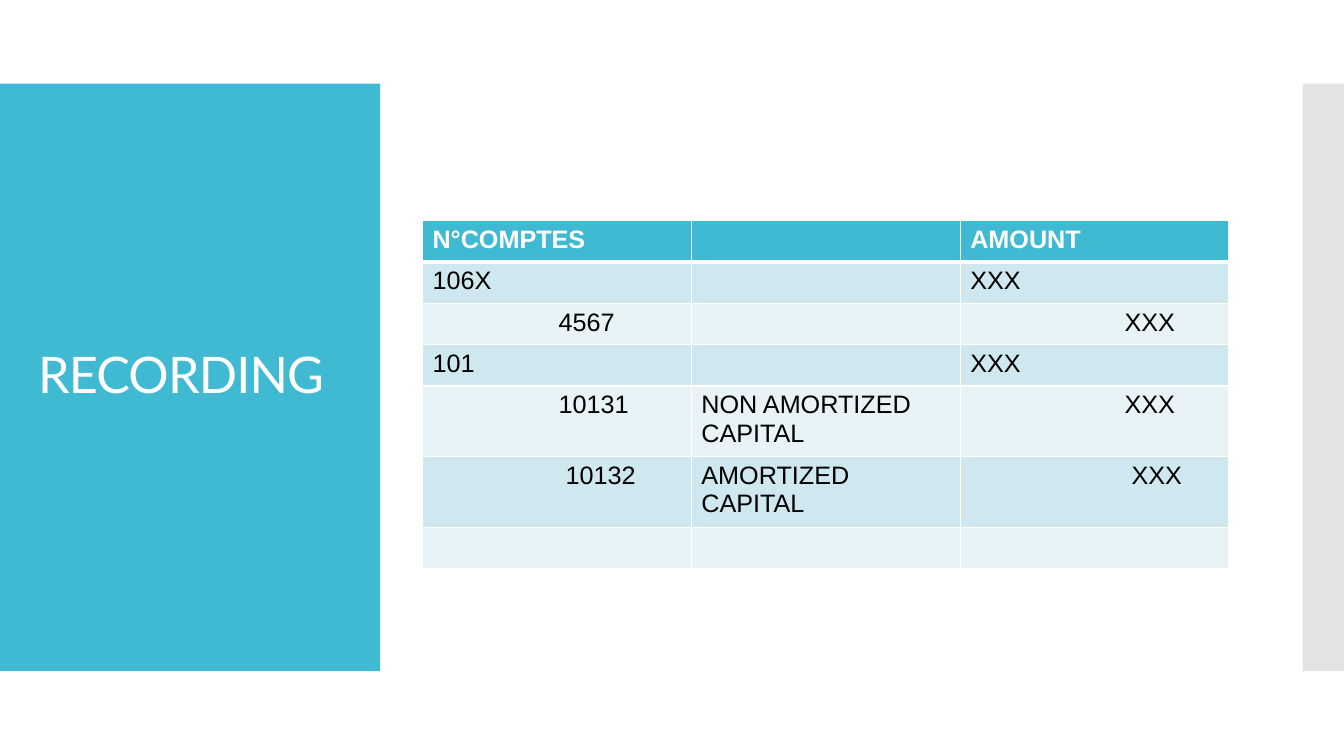
from lxml import etree
from pptx import Presentation
from pptx.dml.color import RGBColor
from pptx.enum.shapes import MSO_SHAPE
from pptx.enum.text import MSO_ANCHOR
from pptx.oxml.ns import qn
from pptx.util import Inches, Pt

RECT = MSO_SHAPE.RECTANGLE
MIDDLE = MSO_ANCHOR.MIDDLE

COLORS = {
    "teal": "40BAD2",
    "gray": "C8C8C8",
    "band": "CFE7EE",
    "pale": "E8F3F7",
    "white": "FFFFFF",
    "black": "000000",
}
TITLE = {"name": "Lato", "size": Pt(36), "bold": False}
HEAD = {"name": "Arial", "size": Pt(18), "bold": True}
BODY = {**HEAD, "bold": False}
PAD = 0.1

ROWS = [
    ["N°COMPTES", "", "AMOUNT"],
    ["106X", "", "XXX"],
    ["4567", "", "XXX"],
    ["101", "", "XXX"],
    ["10131", "NON AMORTIZED CAPITAL", "XXX"],
    ["10132", "AMORTIZED CAPITAL", "XXX"],
    ["", "", ""],
]
INDENTS = {
    (2, 0): 1.25, (2, 2): 1.53,
    (4, 0): 1.25, (4, 2): 1.53,
    (5, 0): 1.32, (5, 2): 1.6,
}


class Deck:
    def __init__(self):
        self.show = Presentation()
        self.show.slide_width = Inches(13.33)
        self.show.slide_height = Inches(7.5)
        self.slide = self.show.slides.add_slide(self.show.slide_layouts[6])

    def paint(self, fill, color):
        fill.solid()
        fill.fore_color.rgb = RGBColor.from_string(COLORS[color])

    def label(self, para, text, style, color):
        run = para.add_run()
        run.text = text
        for key, value in style.items():
            setattr(run.font, key, value)
        run.font.color.rgb = RGBColor.from_string(COLORS[color])
        return run

    def panel(self, box, color, alpha=None):
        shape = self.slide.shapes.add_shape(RECT, *map(Inches, box))
        shape.shadow.inherit = False
        self.paint(shape.fill, color)
        shape.line.fill.background()
        if alpha:
            tone = shape.element.spPr.find(".//" + qn("a:srgbClr"))
            etree.SubElement(tone, qn("a:alpha"), val=str(alpha * 1000))

    def title(self, box, text):
        frame = self.slide.shapes.add_textbox(*map(Inches, box)).text_frame
        frame.word_wrap = True
        frame.vertical_anchor = MIDDLE
        para = frame.paragraphs[0]
        para.line_spacing = 0.9
        run = self.label(para, text, TITLE, "white")
        run.font._element.set("spc", "-60")

    def border(self, cell, widths):
        props = cell._tc.get_or_add_tcPr()
        for spot, (side, width) in enumerate(widths.items()):
            line = etree.Element(qn("a:" + side), w=str(Pt(width)))
            fill = etree.SubElement(line, qn("a:solidFill"))
            etree.SubElement(fill, qn("a:srgbClr"), val=COLORS["white"])
            props.insert(spot, line)

    def table(self, box, rows, indents):
        frame = self.slide.shapes.add_table(
            len(rows), len(rows[0]), *map(Inches, box))
        grid = frame.table
        grid.first_row = grid.horz_banding = False
        for r, row in enumerate(rows):
            style, ink = (BODY, "black") if r else (HEAD, "white")
            fill = ("pale", "band")[r % 2] if r else "teal"
            widths = {"lnL": 1, "lnR": 1,
                      "lnT": 3 if r == 1 else 1, "lnB": 1 if r else 3}
            for c, text in enumerate(row):
                cell = grid.cell(r, c)
                cell.margin_left = Inches(PAD + indents.get((r, c), 0))
                self.paint(cell.fill, fill)
                self.border(cell, widths)
                if text:
                    self.label(cell.text_frame.paragraphs[0], text, style, ink)


def main():
    deck = Deck()
    deck.panel((0, 0.83, 3.77, 5.83), "teal")
    deck.panel((12.92, 0.83, 0.41, 5.83), "gray", 50)
    deck.title((0.28, 1.23, 3.22, 5.03), "RECORDING")
    deck.table((4.19, 2.19, 8, 0.41 * len(ROWS)), ROWS, INDENTS)
    deck.show.save("out.pptx")


if __name__ == "__main__":
    main()
